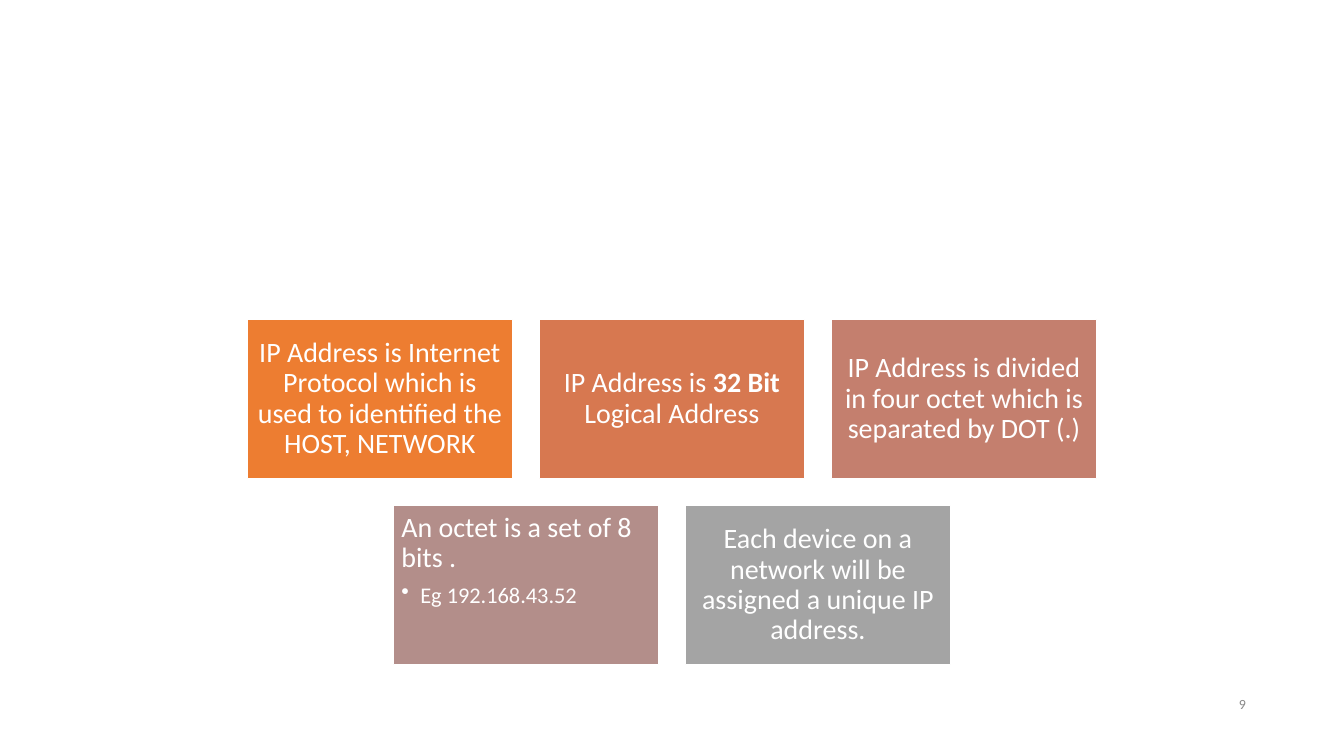
from dataclasses import dataclass

import pptx
import pptx.dml.color
import pptx.enum.shapes
import pptx.enum.text
import pptx.oxml.ns
import pptx.util
from lxml import etree

Cm = pptx.util.Cm
Pt = pptx.util.Pt
RGBColor = pptx.dml.color.RGBColor
ALIGN = pptx.enum.text.PP_ALIGN
ANCHOR = pptx.enum.text.MSO_ANCHOR

WHITE = RGBColor(0xFF, 0xFF, 0xFF)
ORANGE = RGBColor(0xED, 0x7D, 0x31)
BURNT_ORANGE = RGBColor(0xD7, 0x78, 0x50)
TERRACOTTA = RGBColor(0xC4, 0x7F, 0x6E)
DUSTY_ROSE = RGBColor(0xB3, 0x8E, 0x8A)
GRAY = RGBColor(0xA4, 0xA4, 0xA4)
NUMBER_GRAY = RGBColor(0x89, 0x89, 0x89)

FONT = "Calibri"
SLIDE_WIDTH, SLIDE_HEIGHT = Cm(33.87), Cm(19.05)
CARD_WIDTH, CARD_HEIGHT = Cm(6.68), Cm(4.01)
CARD_GAP = Cm(0.68)
FIRST_ROW_TOP = Cm(8.05)
CARD_INSET = Cm(0.2)
BULLET_INDENT = Cm(0.48)


@dataclass(frozen=True)
class Phrase:
    text: str
    bold: bool = False


@dataclass(frozen=True)
class Fact:
    phrases: tuple[Phrase, ...]
    fill: RGBColor
    example: str = ""


ROWS = (
    (
        Fact((Phrase("IP Address is Internet Protocol which is\vused to identified the HOST, NETWORK"),),
             ORANGE),
        Fact((Phrase("IP Address is "), Phrase("32 Bit ", bold=True), Phrase("Logical Address")),
             BURNT_ORANGE),
        Fact((Phrase("IP Address is divided in four octet which is separated by DOT (.)"),),
             TERRACOTTA),
    ),
    (
        Fact((Phrase("An octet is a set of 8 bits ."),), DUSTY_ROSE, example="Eg 192.168.43.52"),
        Fact((Phrase("Each device on a network will be assigned a unique IP address."),), GRAY),
    ),
)


def apply_format(target: object, values: dict[str, object]) -> None:
    for attribute, value in values.items():
        setattr(target, attribute, value)


def add_phrase(paragraph, phrase: Phrase, size: int, color: RGBColor) -> None:
    for index, line in enumerate(phrase.text.split("\v")):
        if index:
            paragraph.add_line_break()
        run = paragraph.add_run()
        run.text = line
        apply_format(run.font, {"name": FONT, "size": Pt(size), "bold": phrase.bold})
        run.font.color.rgb = color


def add_bullet(paragraph) -> None:
    properties = paragraph._p.get_or_add_pPr()
    properties.set("marL", str(BULLET_INDENT))
    properties.set("indent", str(-BULLET_INDENT))
    bullet = etree.SubElement(properties, pptx.oxml.ns.qn("a:buChar"))
    bullet.set("char", "•")


def add_card(slide, fact: Fact, left: int, top: int) -> None:
    card = slide.shapes.add_shape(
        pptx.enum.shapes.MSO_SHAPE.RECTANGLE, left, top, CARD_WIDTH, CARD_HEIGHT)
    card.shadow.inherit = False
    card.fill.solid()
    card.fill.fore_color.rgb = fact.fill
    card.line.color.rgb = WHITE
    card.line.width = Pt(1)

    frame = card.text_frame
    apply_format(frame, {
        "word_wrap": True,
        "vertical_anchor": ANCHOR.TOP if fact.example else ANCHOR.MIDDLE,
        "margin_left": CARD_INSET, "margin_right": CARD_INSET,
        "margin_top": CARD_INSET, "margin_bottom": CARD_INSET,
    })
    statement = frame.paragraphs[0]
    apply_format(statement, {
        "alignment": ALIGN.LEFT if fact.example else ALIGN.CENTER, "line_spacing": 0.9})
    for phrase in fact.phrases:
        add_phrase(statement, phrase, 20, WHITE)

    if fact.example:
        example = frame.add_paragraph()
        apply_format(example, {
            "level": 1, "alignment": ALIGN.LEFT, "line_spacing": 0.9, "space_before": Pt(7)})
        add_bullet(example)
        add_phrase(example, Phrase(fact.example), 16, WHITE)


def add_page_number(slide, number: str) -> None:
    frame = slide.shapes.add_textbox(Cm(30.07), Cm(17.3), Cm(1.58), Cm(0.86)).text_frame
    apply_format(frame, {"word_wrap": True, "vertical_anchor": ANCHOR.MIDDLE})
    frame.paragraphs[0].alignment = ALIGN.RIGHT
    add_phrase(frame.paragraphs[0], Phrase(number), 10, NUMBER_GRAY)


def main() -> None:
    presentation = pptx.Presentation()
    apply_format(presentation, {"slide_width": SLIDE_WIDTH, "slide_height": SLIDE_HEIGHT})
    slide = presentation.slides.add_slide(presentation.slide_layouts[6])

    add_page_number(slide, "9")
    for row_index, facts in enumerate(ROWS):
        row_width = len(facts) * (CARD_WIDTH + CARD_GAP) - CARD_GAP
        row_left = (SLIDE_WIDTH - row_width) // 2
        top = FIRST_ROW_TOP + row_index * (CARD_HEIGHT + CARD_GAP)
        for column, fact in enumerate(facts):
            add_card(slide, fact, row_left + column * (CARD_WIDTH + CARD_GAP), top)

    presentation.save("out.pptx")


if __name__ == "__main__":
    main()
